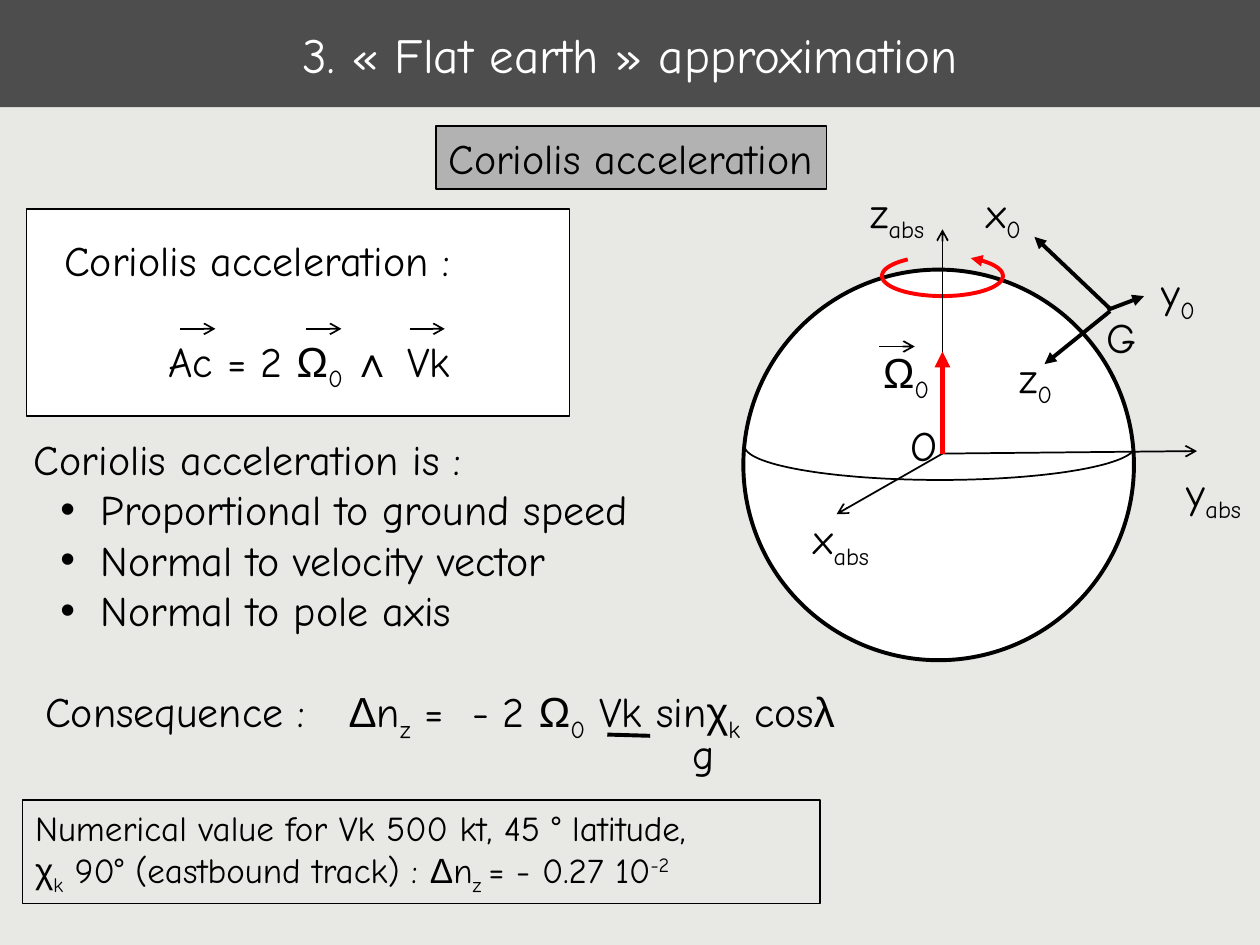
from math import cos, radians, sin

from lxml import etree
from pptx import Presentation
from pptx.dml.color import RGBColor
from pptx.enum.shapes import MSO_CONNECTOR, MSO_SHAPE
from pptx.enum.text import MSO_ANCHOR, PP_ALIGN
from pptx.oxml.ns import qn
from pptx.util import Inches, Pt

LINE = MSO_CONNECTOR.STRAIGHT
RECT, OVAL = MSO_SHAPE.RECTANGLE, MSO_SHAPE.OVAL
MIDDLE, CENTER = MSO_ANCHOR.MIDDLE, PP_ALIGN.CENTER
BLACK = RGBColor(0, 0, 0)
WHITE = RGBColor(255, 255, 255)
RED = RGBColor(255, 0, 0)
DARK = RGBColor(0x4D, 0x4D, 0x4D)
GRAY = RGBColor(0xB2, 0xB2, 0xB2)
PALE = RGBColor(0xE8, 0xE8, 0xE4)
BASE = {"_": "-25000", "^": "30000"}


def write(para, text, size=24, color=BLACK):
    for part in text.split("|"):
        run = para.add_run()
        run.text = part.lstrip("_^")
        font = run.font
        font.name = "Arial" if part in "ΔΩχλ∧" else "Comic Neue"
        font.size = Pt(size)
        font.color.rgb = color
        if part[0] in BASE:
            run._r.get_or_add_rPr().set("baseline", BASE[part[0]])


def stroke(shape, color, width, head=None):
    shape.line.color.rgb = color
    shape.line.width = Pt(width)
    if head:
        tip = etree.SubElement(shape.line._get_or_add_ln(), qn("a:tailEnd"))
        tip.set("type", head)


prs = Presentation()
prs.slide_width, prs.slide_height = Inches(10), Inches(7.5)
slide = prs.slides.add_slide(prs.slide_layouts[5])
slide.background.fill.solid()
slide.background.fill.fore_color.rgb = PALE
shapes = slide.shapes

title = shapes.title
title.left, title.top = Inches(0), Inches(0)
title.width, title.height = Inches(10), Inches(0.85)
title.fill.solid()
title.fill.fore_color.rgb = DARK
title.text_frame.vertical_anchor = MIDDLE
head = title.text_frame.paragraphs[0]
head.alignment = CENTER
write(head, "3. « Flat earth » approximation", 28, WHITE)

for kind, x, y, w, h, width in [
    (OVAL, 5.9, 2.14, 3.1, 3.1, 2.25),
    (RECT, 0.21, 1.66, 4.31, 1.64, 1),
]:
    shape = shapes.add_shape(kind, Inches(x), Inches(y), Inches(w), Inches(h))
    shape.shadow.inherit = False
    shape.fill.solid()
    shape.fill.fore_color.rgb = WHITE
    stroke(shape, BLACK, width)

for x, y, rx, ry, start, end, color, width, tip in [
    (7.46, 3.54, 1.55, 0.27, 175, 5, BLACK, 1, None),
    (7.48, 2.19, 0.48, 0.16, 235, -62, RED, 2.25, "triangle"),
]:
    steps = 60
    turns = [radians(start + (end - start) * i / steps) for i in range(steps + 1)]
    dots = [(Inches(x + rx * cos(t)), Inches(y + ry * sin(t))) for t in turns]
    path = shapes.build_freeform(*dots[0])
    path.add_line_segments(dots[1:], close=False)
    arc = path.convert_to_shape()
    arc.shadow.inherit = False
    arc.fill.background()
    stroke(arc, color, width, tip)

lines = [
    (7.48, 3.6, 9.5, 3.58, BLACK, 1, "arrow"),
    (7.48, 3.6, 7.48, 1.82, BLACK, 1, "arrow"),
    (7.48, 3.6, 6.64, 4.08, BLACK, 1, "arrow"),
    (7.48, 3.6, 7.48, 2.79, RED, 3, "triangle"),
    (8.81, 2.47, 8.29, 2.89, BLACK, 2.25, "triangle"),
    (8.81, 2.45, 8.21, 1.88, BLACK, 2.25, "triangle"),
    (8.79, 2.46, 9.08, 2.35, BLACK, 2.25, "triangle"),
    (4.82, 5.83, 5.16, 5.84, BLACK, 2.25, None),
]
for x, y in [(6.98, 2.75), (1.43, 2.61), (2.43, 2.61), (3.25, 2.61)]:
    lines.append((x, y, x + 0.28, y, BLACK, 1, "arrow"))
for x, y, tox, toy, color, width, tip in lines:
    line = shapes.add_connector(LINE, Inches(x), Inches(y), Inches(tox), Inches(toy))
    stroke(line, color, width, tip)
    etree.SubElement(line._element.spPr, qn("a:effectLst"))

for text, x, y, w in [
    ("z|_abs", 6.81, 1.43, 0.65),
    ("x|_abs", 6.36, 4.02, 0.66),
    ("y|_abs", 9.32, 3.65, 0.65),
    ("O", 7.13, 3.28, 0.43),
    ("Ω|_0", 6.91, 2.7, 0.59),
    ("x|_0", 7.73, 1.43, 0.5),
    ("y|_0", 9.12, 2.07, 0.5),
    ("z|_0", 7.99, 2.74, 0.5),
    ("G", 8.68, 2.42, 0.46),
]:
    label = shapes.add_textbox(Inches(x), Inches(y), Inches(w), Inches(0.56))
    label.text_frame.word_wrap = False
    write(label.text_frame.paragraphs[0], text)

blocks = [
    (0.41, 1.81, 3.98, 1.36, 24,
     ["Coriolis acceleration :", "Ac = 2 |Ω|_0 |∧| Vk"]),
    (0.17, 3.39, 5.52, 1.7, 24,
     ["Coriolis acceleration is :", "Proportional to ground speed",
      "Normal to velocity vector", "Normal to pole axis"]),
    (0.26, 5.49, 7.26, 0.74, 24,
     ["Consequence : \t|Δ|n|_z| =  - 2 |Ω|_0| Vk sin|χ|_k| cos|λ", "g"]),
    (0.18, 6.35, 6.33, 0.82, 20,
     ["Numerical value for Vk 500 kt, 45 ° latitude,",
      "χ|_k| 90° (eastbound track) : |Δ|n|_z |= - 0.27 10|^-2"]),
    (3.46, 1, 3.1, 0.5, 24, ["Coriolis acceleration"]),
]
made = []
for x, y, w, h, size, texts in blocks:
    box = shapes.add_textbox(Inches(x), Inches(y), Inches(w), Inches(h))
    frame = box.text_frame
    frame.word_wrap = True
    for i, text in enumerate(texts):
        para = frame.add_paragraph() if i else frame.paragraphs[0]
        write(para, text, size)
    made.append(box)
law, traits, result, value, topic = made

form = law.text_frame.paragraphs[1]
form.space_before = Pt(29)
form._p.get_or_add_pPr().set("marL", str(Inches(0.83)))

for para in traits.text_frame.paragraphs[1:]:
    props = para._p.get_or_add_pPr()
    props.set("marL", str(Inches(0.53)))
    props.set("indent", str(Inches(-0.32)))
    etree.SubElement(props, qn("a:buFont")).set("typeface", "Arial")
    etree.SubElement(props, qn("a:buChar")).set("char", "•")

top, low = result.text_frame.paragraphs
top.line_spacing, low.line_spacing = 0.65, 0.85
tabs = etree.SubElement(top._p.get_or_add_pPr(), qn("a:tabLst"))
stop = etree.SubElement(tabs, qn("a:tab"))
stop.set("pos", str(Inches(2.41)))
stop.set("algn", "l")
low._p.get_or_add_pPr().set("marL", str(Inches(5.14)))

topic.text_frame.word_wrap = False
topic.fill.solid()
topic.fill.fore_color.rgb = GRAY
for box in (value, topic):
    stroke(box, BLACK, 1)

prs.save("out.pptx")
